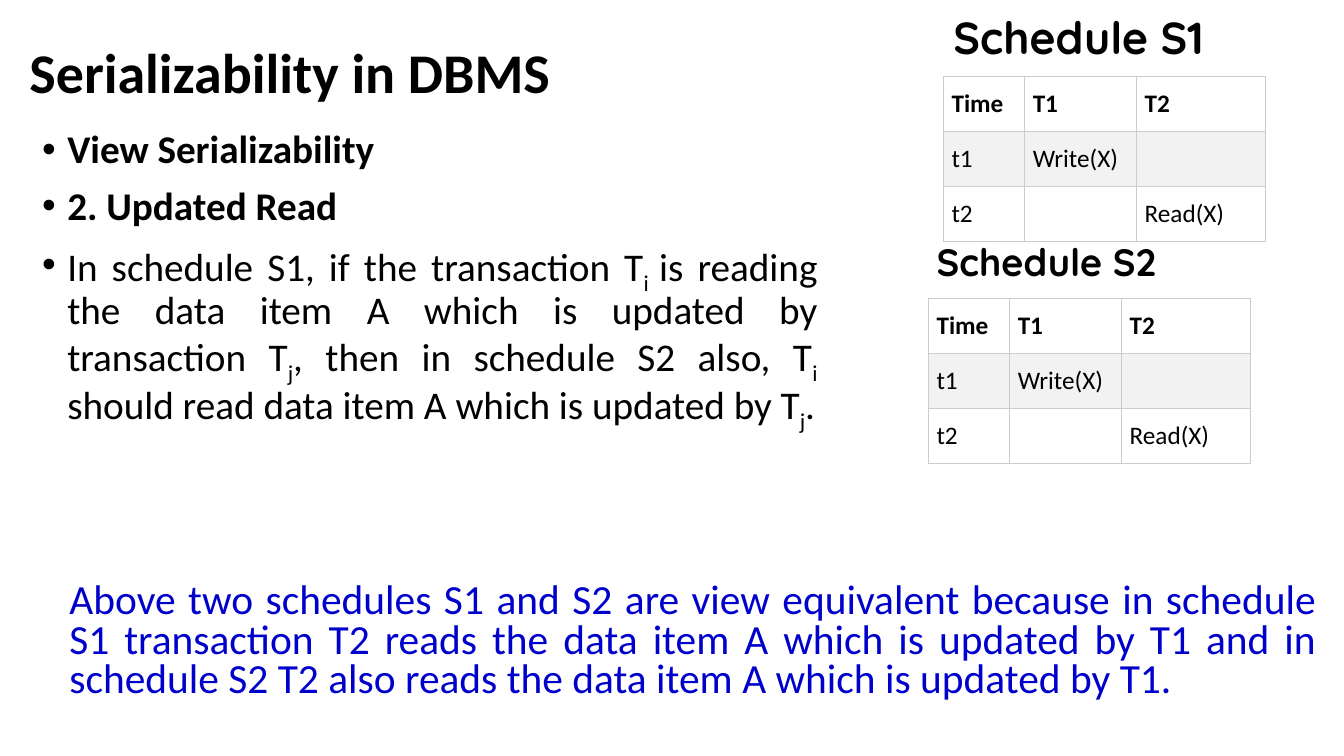
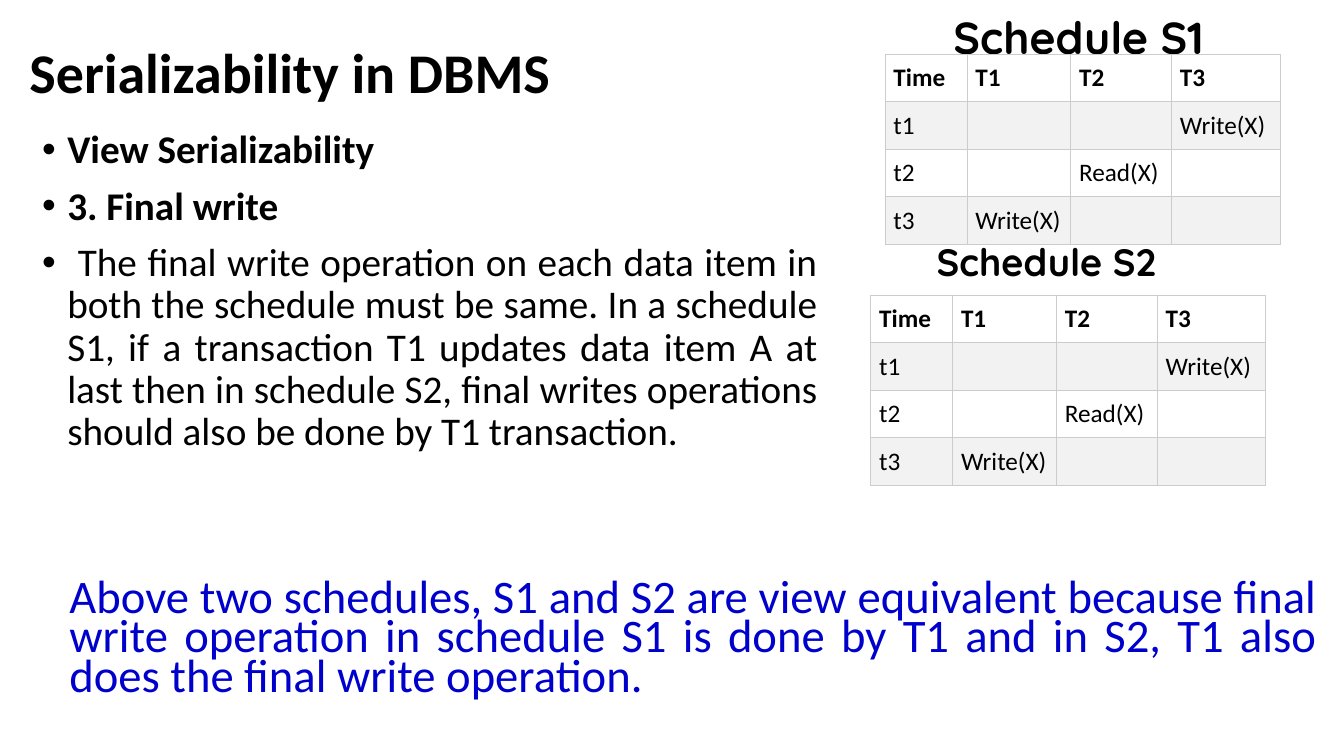
from dataclasses import dataclass

from lxml import etree
from pptx import Presentation
from pptx import util as u
from pptx.dml import color
from pptx.enum import text
from pptx.oxml import ns


@dataclass(frozen=True)
class Theme:
    ink: str = "000000"
    blue: str = "0000CC"
    rule: str = "CCCCCC"
    fills: tuple = ("FFFFFF", "F2F2F2")
    main: str = "Calibri"
    label: str = "Quicksand"
    title: float = 40
    body: float = 28
    cell: float = 18
    heads: tuple = (32, 27.2)
    gap: float = 10
    hang: float = 18
    pad: float = 6
    line: float = 0.75


theme = Theme()


def add(parent, tag, **attrs):
    node = etree.SubElement(parent, ns.qn(tag))
    for key, value in attrs.items():
        node.set(key, str(value))
    return node


def write(frame, lines, size, font=theme.main, ink=theme.ink, bold=False,
          align=text.PP_ALIGN.JUSTIFY, lead=0.9, bullet=False):
    """Text between tildes is set as subscript; bold may be one flag per line."""
    lines = [lines] if isinstance(lines, str) else lines
    flags = bold if isinstance(bold, tuple) else (bold,) * len(lines)
    for i, (line, flag) in enumerate(zip(lines, flags)):
        para = frame.add_paragraph() if i else frame.paragraphs[0]
        para.alignment = align
        para.line_spacing = lead
        para.space_before = u.Pt(theme.gap if i else 0)
        if bullet:
            props = para._p.get_or_add_pPr()
            props.set("marL", str(u.Pt(theme.hang)))
            props.set("indent", str(-u.Pt(theme.hang)))
            add(props, "a:buFont", typeface="Arial")
            add(props, "a:buChar", char="•")
        for j, part in enumerate(line.split("~")):
            run = para.add_run()
            run.text = part
            run.font.size = u.Pt(size)
            run.font.name = font
            run.font.bold = flag
            run.font.color.rgb = color.RGBColor.from_string(ink)
            if j % 2:
                run._r.get_or_add_rPr().set("baseline", "-25000")


class Deck:
    def __init__(self, style):
        self.style = style
        self.file = Presentation()
        self.file.slide_width = u.Pt(960)
        self.file.slide_height = u.Pt(540)
        self.slide = None

    def page(self):
        self.slide = self.file.slides.add_slide(self.file.slide_layouts[6])

    def box(self, spot, lines, size, anchor=text.MSO_ANCHOR.TOP, **form):
        frame = self.slide.shapes.add_textbox(*map(u.Pt, spot)).text_frame
        frame.word_wrap = True
        frame.vertical_anchor = anchor
        write(frame, lines, size, **form)

    def title(self, line):
        self.box((14, 18, 828, 71), line, self.style.title, bold=True,
                 anchor=text.MSO_ANCHOR.MIDDLE, align=text.PP_ALIGN.LEFT)

    def body(self, lines):
        self.box((23, 89.3, 568, 432.7), lines, self.style.body,
                 bold=(True, True, False), bullet=True)

    def labels(self):
        big, small = self.style.heads
        form = dict(font=self.style.label, bold=True)
        self.box((674, 8, 202, 46), "Schedule S1", big, **form)
        self.box((662, 175.7, 202, 33), "Schedule S2", small, lead=0.7, **form)

    def result(self, line, size, lead):
        self.box((42.5, 412.5, 906, 100), line, size, ink=self.style.blue, lead=lead)

    def edge(self, cell):
        props = cell._tc.get_or_add_tcPr()
        for side in "LRTB":
            line = add(props, f"a:ln{side}", w=u.Pt(self.style.line))
            add(add(line, "a:solidFill"), "a:srgbClr", val=self.style.rule)

    def table(self, left, top, rows, widths, height):
        grid = self.slide.shapes.add_table(
            len(rows), len(widths), u.Pt(left), u.Pt(top),
            u.Pt(sum(widths)), u.Pt(height * len(rows))).table
        grid.first_row = grid.horz_banding = False
        for col, width in zip(grid.columns, widths):
            col.width = u.Pt(width)
        for r, row in enumerate(rows):
            grid.rows[r].height = u.Pt(height)
            for c, word in enumerate(row):
                cell = grid.cell(r, c)
                self.edge(cell)
                cell.fill.solid()
                cell.fill.fore_color.rgb = color.RGBColor.from_string(
                    self.style.fills[r % 2])
                cell.vertical_anchor = text.MSO_ANCHOR.MIDDLE
                pad = u.Pt(self.style.pad)
                cell.margin_left = cell.margin_right = pad
                cell.margin_top = cell.margin_bottom = pad
                if word:
                    write(cell.text_frame, word, self.style.cell, bold=r == 0,
                          align=text.PP_ALIGN.LEFT, lead=1.0)


PAGES = [
    dict(
        body=["View Serializability", "2. Updated Read",
              "In schedule S1, if the transaction T~i ~is reading the data item A "
              "which is updated by transaction T~j~, then in schedule S2 also, "
              "T~i ~should read data item A which is updated by T~j~."],
        result=("Above two schedules S1 and S2 are view equivalent because in "
                "schedule S1 transaction T2 reads the data item A which is updated "
                "by T1 and in schedule S2 T2 also reads the data item A which is "
                "updated by T1.", 29.6, 0.8),
        spots=[(673.7, 54.7), (663, 213.2)],
        rows=[["Time", "T1", "T2"],
              ["t1", "Write(X)", ""],
              ["t2", "", "Read(X)"]],
        widths=[58, 80, 92.5], height=39.3),
    dict(
        body=["View Serializability", "3. Final write",
              " The final write operation on each data item in both the schedule "
              "must be same. In a schedule S1, if a transaction T1 updates data "
              "item A at last then in schedule S2, final writes operations should "
              "also be done by T1 transaction."],
        result=("Above two schedules, S1 and S2 are view equivalent because final "
                "write operation in schedule S1 is done by T1 and in S2, T1 also "
                "does the final write operation.", 33.3, 0.7),
        spots=[(632.2, 38.9), (622, 211)],
        rows=[["Time", "T1", "T2", "T3"],
              ["t1", "", "", "Write(X)"],
              ["t2", "", "Read(X)", ""],
              ["t3", "Write(X)", "", ""]],
        widths=[58.5, 74.2, 72, 77.6], height=33.9),
]


def main():
    deck = Deck(theme)
    for page in PAGES:
        deck.page()
        deck.title("Serializability in DBMS")
        deck.body(page["body"])
        deck.labels()
        deck.result(*page["result"])
        for left, top in page["spots"]:
            deck.table(left, top, page["rows"], page["widths"], page["height"])
    deck.file.save("out.pptx")


if __name__ == "__main__":
    main()
